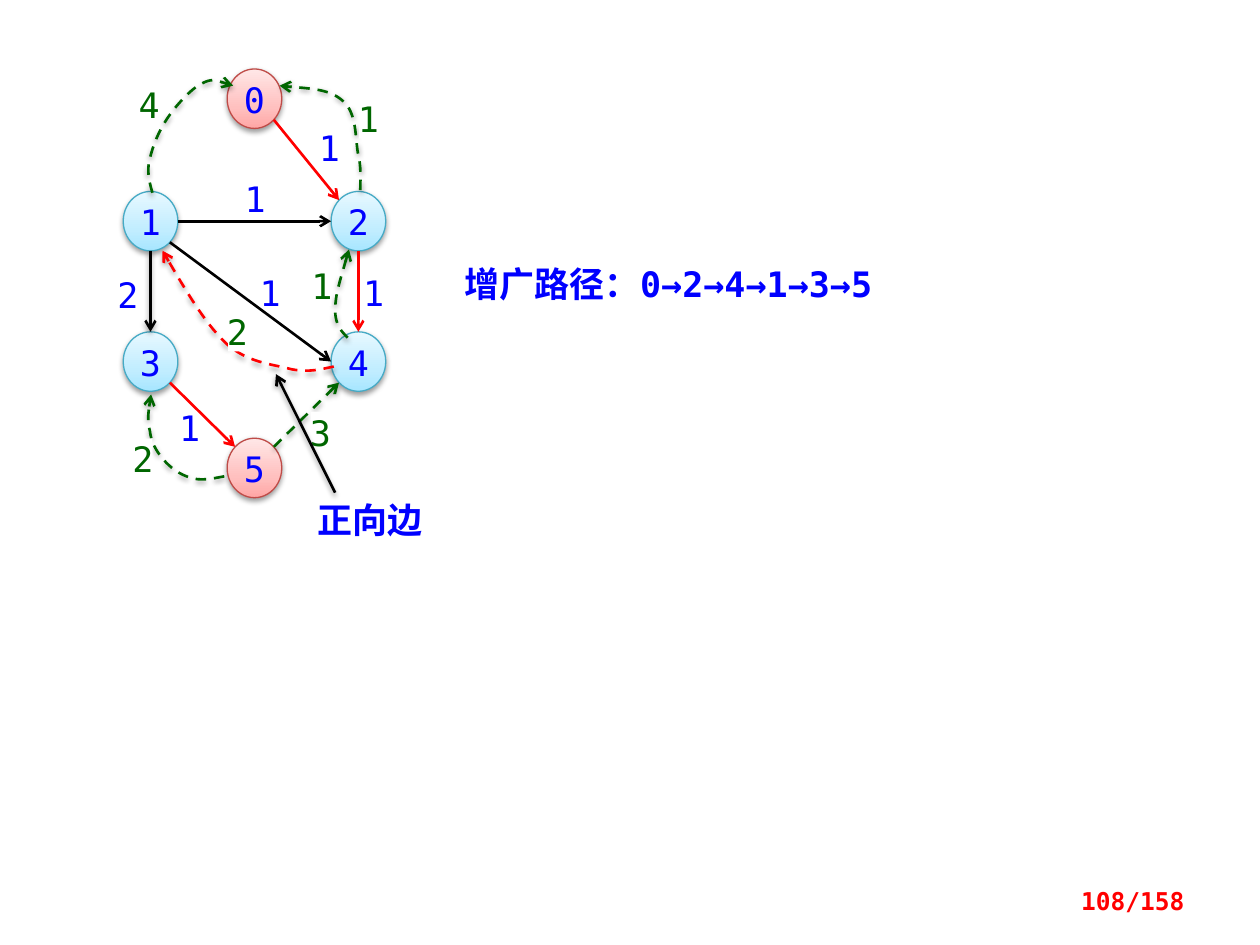
from copy import deepcopy
from dataclasses import dataclass

from pptx import Presentation
from pptx import util as u
from pptx.dml.color import RGBColor
from pptx.enum import dml, shapes, text
from pptx.oxml import parse_xml
from pptx.oxml.ns import nsdecls, qn
from pptx.oxml.xmlchemy import OxmlElement

Pt = u.Pt


@dataclass
class Theme:
    font: str = "DejaVu Sans Mono"
    blue: str = "0000FF"
    green: str = "006600"
    red: str = "FF0000"
    black: str = "000000"
    white: str = "FFFFFF"
    pink_node: tuple = ("FFA6A5", "FFC0BF", "FFE7E7", "BF4C48")
    blue_node: tuple = ("A7E6FF", "C1EDFF", "E7F8FF", "46AAC5")
    body_size: float = 20
    page_size: float = 14
    node_line: float = 0.75
    edge_line: float = 1.5


theme = Theme()


def write(shape, words, color=theme.blue, size=theme.body_size, bold=False,
          align=text.PP_ALIGN.CENTER, anchor=text.MSO_ANCHOR.MIDDLE,
          wrap=False, margins=None):
    frame = shape.text_frame
    frame.word_wrap = wrap
    frame.vertical_anchor = anchor
    if margins:
        (frame.margin_left, frame.margin_top,
         frame.margin_right, frame.margin_bottom) = map(Pt, margins)
    paragraph = frame.paragraphs[0]
    paragraph.alignment = align
    run = paragraph.add_run()
    run.text = words
    run.font.name, run.font.size, run.font.bold = theme.font, Pt(size), bold
    run.font.color.rgb = RGBColor.from_string(color)
    east_asian = OxmlElement("a:ea")
    east_asian.set("typeface", theme.font)
    run.font._element.append(east_asian)


def outline(shape, color, width=theme.edge_line, dashed=False, arrow=True, shadow=True):
    shape.line.color.rgb = RGBColor.from_string(color)
    shape.line.width = Pt(width)
    if dashed:
        shape.line.dash_style = dml.MSO_LINE.DASH
    properties = shape._element.spPr
    if arrow:
        tail = OxmlElement("a:tailEnd")
        tail.set("type", "arrow")
        properties.find(qn("a:ln")).append(tail)
    drop = (f'<a:outerShdw blurRad="{Pt(3.1)}" dist="{Pt(1.6)}" dir="5400000" rotWithShape="0">'
            f'<a:srgbClr val="{theme.black}"><a:alpha val="38000"/></a:srgbClr></a:outerShdw>')
    properties.append(parse_xml(
        f'<a:effectLst {nsdecls("a")}>{drop if shadow else ""}</a:effectLst>'))


presentation = Presentation()
presentation.slide_width, presentation.slide_height = Pt(720), Pt(540)
slide = presentation.slides.add_slide(presentation.slide_layouts[6])

# Edge weights: text, left, top; the green ones go in front of the curves
blue_labels = [("1", 182.9, 72.7), ("1", 140.4, 102.2), ("1", 149, 155.5),
               ("1", 208.1, 155.5), ("1", 103, 232.6), ("2", 67.7, 157)]
green_labels = [("3", 177.8, 235.4), ("2", 130.3, 177.8), ("4", 79.9, 48.2),
                ("2", 76.3, 250.6), ("1", 205.2, 56.2), ("1", 178.6, 151.9)]
label_shapes = []
for color, labels in ((theme.blue, blue_labels), (theme.green, green_labels)):
    for words, left, top in labels:
        label = slide.shapes.add_shape(shapes.MSO_SHAPE.RECTANGLE,
                                       Pt(left), Pt(top), Pt(10.8), Pt(23))
        label.shadow.inherit = False
        label.fill.solid()
        label.fill.fore_color.rgb = RGBColor.from_string(theme.white)
        label.line.fill.background()
        write(label, words, color, margins=(0, 0, 0, 0))
        label_shapes.append(label)

# Nodes, placed by their centres
node_width, node_height = 31.2, 34
left_x, middle_x, right_x = 86, 145.4, 204.8
centers = [(middle_x, 56.4), (left_x, 126.4), (right_x, 126.4),
           (left_x, 206.6), (right_x, 206.6), (middle_x, 267.4)]
for number, (x, y) in enumerate(centers):
    *stops, line_color = theme.pink_node if number in (0, 5) else theme.blue_node
    node = slide.shapes.add_shape(
        shapes.MSO_SHAPE.OVAL, Pt(x - node_width / 2), Pt(y - node_height / 2),
        Pt(node_width), Pt(node_height))
    node.fill.gradient()
    node.fill.gradient_angle = 90
    stop_list = node._element.spPr.find(".//" + qn("a:gsLst"))
    stop_list.insert(1, deepcopy(stop_list[0]))
    for stop, color, position in zip(node.fill.gradient_stops, stops, (0, 0.35, 1)):
        stop.color.rgb = RGBColor.from_string(color)
        stop.position = position
    outline(node, line_color, theme.node_line, arrow=False)
    write(node, str(number), margins=(0, 0.7, 0, 0))

# Straight edges: from node and side, to node and side
diagonal = 0.71
sides = {"top": (0, -1), "bottom": (0, 1), "left": (-1, 0), "right": (1, 0),
         "top left": (-diagonal, -diagonal), "top right": (diagonal, -diagonal),
         "bottom left": (-diagonal, diagonal), "bottom right": (diagonal, diagonal)}
edges = [(0, "bottom right", 2, "top left", theme.red, False, False),
         (1, "right", 2, "left", theme.black, False, False),
         (1, "bottom right", 4, "left", theme.black, False, False),
         (2, "bottom", 4, "top", theme.red, False, False),
         (3, "bottom right", 5, "top left", theme.red, False, False),
         (5, "top right", 4, "bottom left", theme.green, True, True),
         (1, "bottom", 3, "top", theme.black, False, True)]
for start, start_side, end, end_side, color, dashed, shadow in edges:
    ends = [Pt(center + offset * size / 2)
            for node_number, side in ((start, start_side), (end, end_side))
            for center, offset, size in zip(centers[node_number], sides[side],
                                            (node_width, node_height))]
    edge = slide.shapes.add_connector(shapes.MSO_CONNECTOR.STRAIGHT, *ends)
    outline(edge, color, dashed=dashed, shadow=shadow)

# Curved edges: a start point, then three Bézier points for each section
curves = [
    (theme.red, [(190.8, 209.5), (183.6, 211), (176.4, 213.1), (166.3, 211),
                 (155.5, 208.1), (141.8, 207.4), (129.6, 196.6),
                 (117.4, 185), (105.1, 164.2), (92.9, 143.3)]),
    (theme.green, [(87.1, 110.2), (85.7, 105.1), (84.2, 100.1), (85, 93.6),
                   (86.4, 86.4), (89.3, 77.8), (94.3, 69.8),
                   (98.6, 62.6), (108, 51.8), (114.5, 48.2),
                   (121, 44.6), (126.7, 46.8), (133.2, 49)]),
    (theme.green, [(128.2, 272.2), (121, 273.6), (114.5, 275), (108.7, 272.9),
                   (103, 271.4), (97.2, 267.1), (93.6, 262.8),
                   (89.3, 257.8), (86.4, 252.7), (85.7, 246.2),
                   (84.2, 240.5), (85, 232.6), (86.4, 225.4)]),
    (theme.green, [(205.9, 108.7), (205.9, 102.2), (206.6, 95.8), (204.5, 87.1),
                   (203, 78.5), (203.8, 64.1), (195.8, 57.6),
                   (188.6, 51.1), (174.2, 50.4), (159.8, 49)]),
    (theme.green, [(198.7, 193), (195.1, 189.4), (191.5, 185.8), (191.5, 177.1),
                   (191.5, 168.5), (195.8, 155.5), (199.4, 142.6)]),
]
for color, points in curves:
    start, *others = [(Pt(x), Pt(y)) for x, y in points]
    builder = slide.shapes.build_freeform(*start)
    builder.add_line_segments(others, close=False)
    curve = builder.convert_to_shape()
    curve.fill.background()
    outline(curve, color, dashed=True)
    outline_path = curve._element.spPr.find(".//" + qn("a:path"))
    segments = outline_path.findall(qn("a:lnTo"))
    for first in range(0, len(segments), 3):
        bezier = OxmlElement("a:cubicBezTo")
        for segment in segments[first:first + 3]:
            bezier.append(segment[0])
            outline_path.remove(segment)
        outline_path.append(bezier)

# Green weights to the front
for label in label_shapes[len(blue_labels):]:
    slide.shapes._spTree.append(label._element)

# Pointer to the forward edge
pointer = slide.shapes.add_connector(shapes.MSO_CONNECTOR.STRAIGHT,
                                     Pt(191.5), Pt(281.5), Pt(157.7), Pt(213.8))
outline(pointer, theme.black)

# Captions and page number
for words, left, top, width in (("正向边", 174.2, 281.5, 90),
                                ("增广路径：0→2→4→1→3→5", 258.5, 146.2, 376.6)):
    caption = slide.shapes.add_textbox(Pt(left), Pt(top), Pt(width), Pt(31.7))
    write(caption, words, bold=True, align=text.PP_ALIGN.LEFT,
          anchor=text.MSO_ANCHOR.TOP, wrap=True)
    caption.text_frame.auto_size = text.MSO_AUTO_SIZE.SHAPE_TO_FIT_TEXT
page_number = slide.shapes.add_textbox(Pt(516.2), Pt(500.4), Pt(167.8), Pt(28.8))
write(page_number, "108/158", theme.red, theme.page_size, bold=True,
      align=text.PP_ALIGN.RIGHT, wrap=True)

presentation.save("out.pptx")
